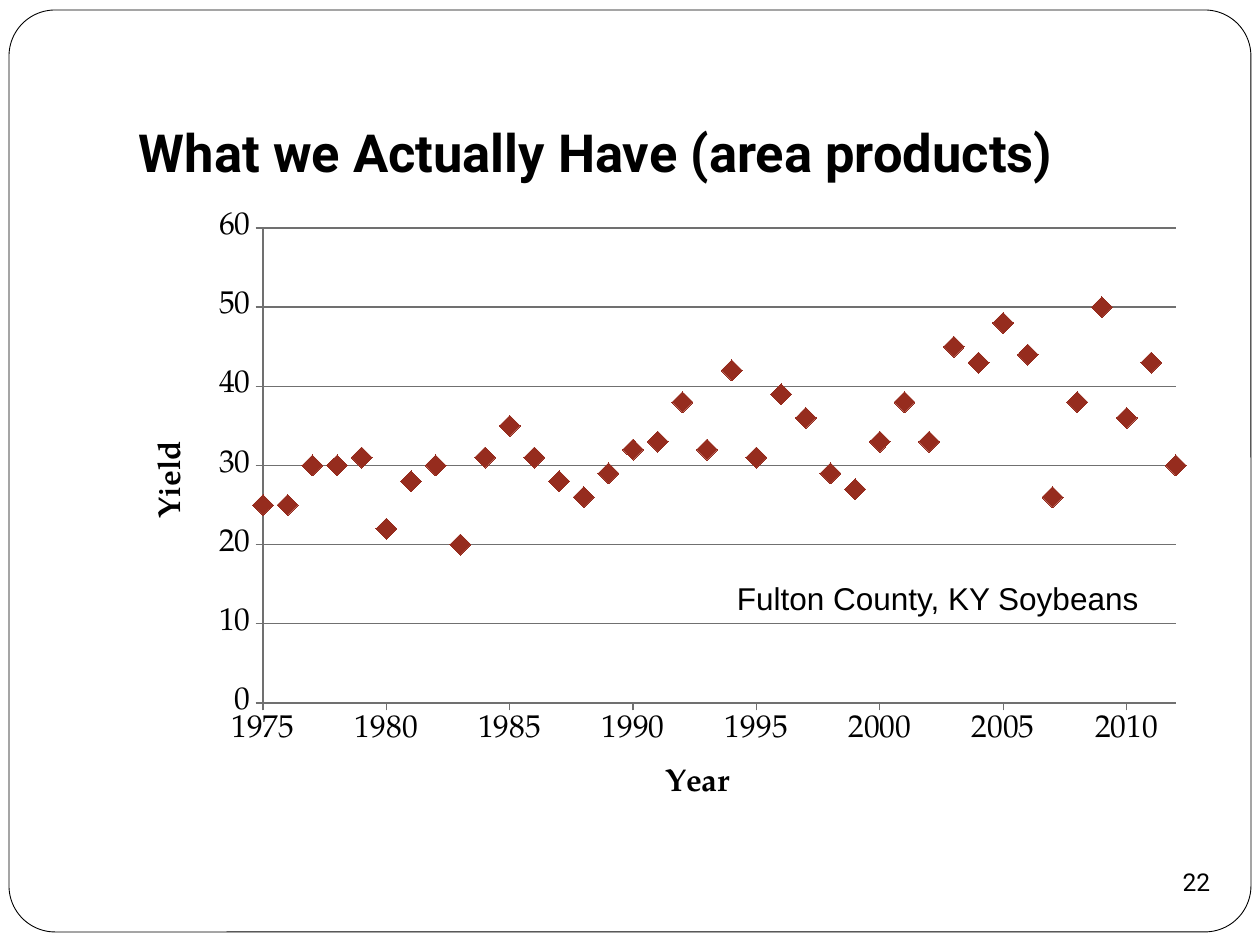
from lxml import etree
from pptx import Presentation, util as u
from pptx.chart.data import XyChartData
from pptx.dml.color import RGBColor
from pptx.enum import chart as c, shapes, text
from pptx.oxml import ns

PX = 914400 // 126
BLACK = RGBColor(0, 0, 0)
WHITE = RGBColor(255, 255, 255)
RUST = RGBColor(0x96, 0x2C, 0x1E)
GRAY = RGBColor(0x70, 0x70, 0x70)
SERIF = "TeX Gyre Pagella"

TITLE = "What we Actually Have (area products)"
COUNTY = "Fulton County, KY Soybeans"
PAGE = "22"
LAST_YEAR = 2012
# Yields, newest year first
YIELDS = [30, 43, 36, 50, 38, 26, 44, 48, 43, 45,
          33, 38, 33, 27, 29, 36, 39, 31, 42, 32,
          38, 33, 32, 29, 26, 28, 31, 35, 31, 20,
          30, 28, 22, 31, 30, 30, 25, 25]
CHART = (126, 199, 1071, 630)
PLOT = (263, 228, 913, 475)

prs = Presentation()
prs.slide_width, prs.slide_height = 1260 * PX, 945 * PX
s = prs.slides.add_slide(prs.slide_layouts[6])


def box(at):
    return [v * PX for v in at]


def write(sp, words, font, size, anchor, margins, bold=False, align=None):
    tf = sp.text_frame
    tf.vertical_anchor = anchor
    tf.margin_left, tf.margin_top, tf.margin_right, tf.margin_bottom = box(margins)
    p = tf.paragraphs[0]
    p.alignment = align
    r = p.add_run()
    r.text = words
    r.font.name, r.font.size, r.font.bold = font, u.Pt(size), bold
    r.font.color.rgb = BLACK
    return tf


# Rounded frame
frame = s.shapes.add_shape(shapes.MSO_SHAPE.ROUNDED_RECTANGLE, *box((9, 10, 1242, 922)))
frame.adjustments[0] = 0.05
frame.shadow.inherit = False
frame.fill.solid()
frame.fill.fore_color.rgb = WHITE
frame.line.color.rgb = BLACK
frame.line.width = u.Pt(0.5)

# Title
title = s.shapes.add_textbox(*box((126, 39, 1071, 157)))
write(title, TITLE, "Roboto", 30, text.MSO_ANCHOR.BOTTOM, (13, 6, 13, 13), bold=True).word_wrap = True

# Scatter chart
data = XyChartData()
series = data.add_series("Series 1")
for age, value in enumerate(YIELDS):
    series.add_data_point(LAST_YEAR - age, value)
chart = s.shapes.add_chart(c.XL_CHART_TYPE.XY_SCATTER, *box(CHART), data).chart
chart.has_legend = chart.has_title = False
chart.font.name, chart.font.size = SERIF, u.Pt(18)
chart.font.color.rgb = BLACK
plot = chart.plots[0]
plot.vary_by_categories = False
dots = plot.series[0]
dots.smooth = False
dots.format.line.fill.background()
dots.marker.style, dots.marker.size = c.XL_MARKER_STYLE.DIAMOND, 12
dots.marker.format.fill.solid()
dots.marker.format.fill.fore_color.rgb = RUST
dots.marker.format.line.color.rgb = RUST

# Axes
for axis, name, low, high, step in ((chart.category_axis, "Year", 1975, LAST_YEAR, 5),
                                    (chart.value_axis, "Yield", 0, 60, 10)):
    axis.minimum_scale, axis.maximum_scale, axis.major_unit = low, high, step
    axis.major_tick_mark = c.XL_TICK_MARK.OUTSIDE
    axis.minor_tick_mark = c.XL_TICK_MARK.NONE
    axis.tick_labels.number_format = "General"
    axis.tick_labels.number_format_is_linked = False
    axis.format.line.color.rgb = GRAY
    r = axis.axis_title.text_frame.paragraphs[0].add_run()
    r.text = name
    r.font.name, r.font.size, r.font.bold = SERIF, u.Pt(18), True
    r.font.color.rgb = BLACK
chart.category_axis.has_major_gridlines = False
chart.value_axis.has_major_gridlines = True
chart.value_axis.major_gridlines.format.line.color.rgb = GRAY

# Inner plot area as fractions of the chart
area = chart.element.find(".//" + ns.qn("c:plotArea"))
for old in area.findall(ns.qn("c:layout")):
    area.remove(old)
layout = etree.Element(ns.qn("c:layout"))
area.insert(0, layout)
manual = etree.SubElement(layout, ns.qn("c:manualLayout"))
settings = [("layoutTarget", "inner"), ("xMode", "edge"), ("yMode", "edge"),
            ("x", (PLOT[0] - CHART[0]) / CHART[2]), ("y", (PLOT[1] - CHART[1]) / CHART[3]),
            ("w", PLOT[2] / CHART[2]), ("h", PLOT[3] / CHART[3])]
for tag, value in settings:
    etree.SubElement(manual, ns.qn("c:" + tag)).set("val", str(value))

# Slide number
number = s.shapes.add_shape(shapes.MSO_SHAPE.OVAL, *box((1165, 850, 63, 63)))
number.shadow.inherit = False
number.fill.background()
number.line.fill.background()
write(number, PAGE, "Roboto", 14, text.MSO_ANCHOR.MIDDLE, (0, 0, 0, 0),
      align=text.PP_ALIGN.CENTER).word_wrap = False

# County label
label = s.shapes.add_textbox(*box((724, 573, 431, 50)))
tf = write(label, COUNTY, "Arial", 18, text.MSO_ANCHOR.TOP, (13, 6, 13, 6))
tf.word_wrap = False
tf.auto_size = text.MSO_AUTO_SIZE.SHAPE_TO_FIT_TEXT

prs.save("out.pptx")
